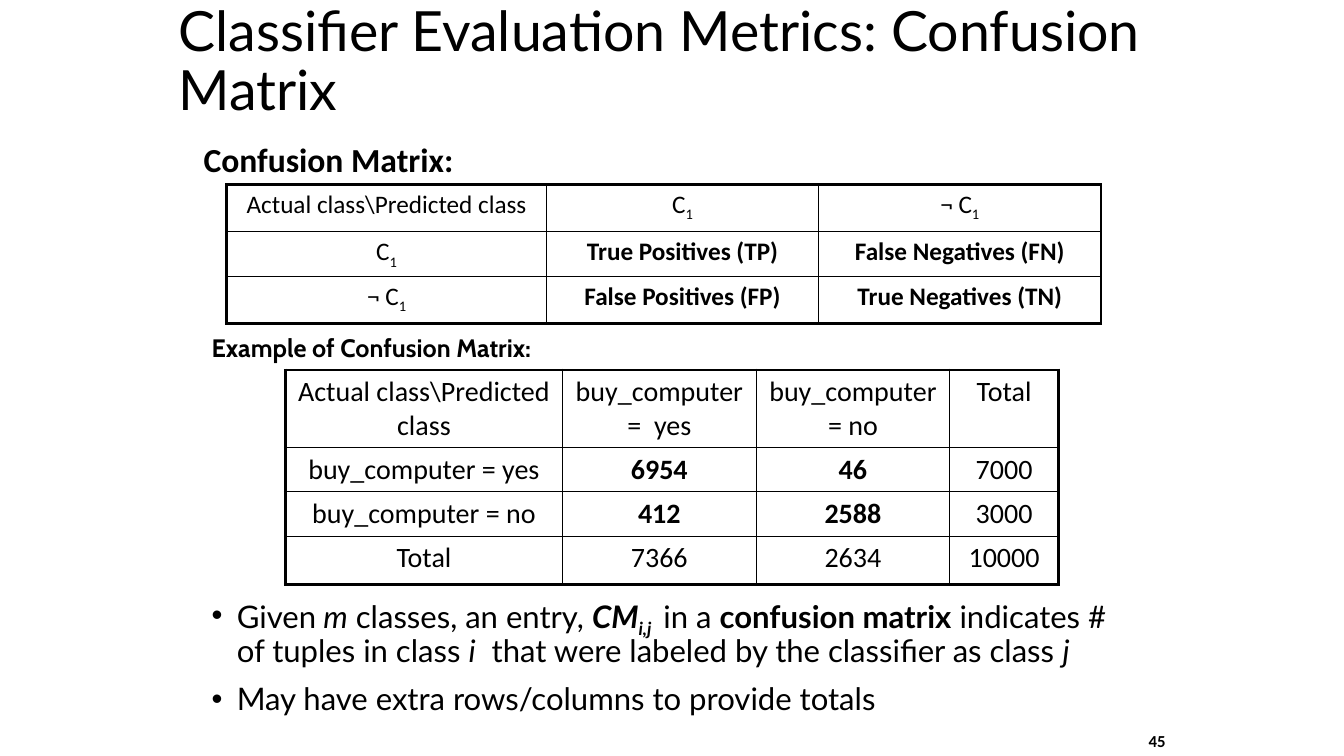
"""Build the slide on confusion matrices as a classifier evaluation metric."""
from lxml import etree
from pptx import Presentation
from pptx.dml.color import RGBColor
from pptx.enum.text import MSO_ANCHOR, MSO_AUTO_SIZE, PP_ALIGN
from pptx.oxml.ns import qn
from pptx.util import Inches, Pt

LEFT, CENTER, RIGHT = PP_ALIGN.LEFT, PP_ALIGN.CENTER, PP_ALIGN.RIGHT
MIDDLE, TOP, BOTTOM = MSO_ANCHOR.MIDDLE, MSO_ANCHOR.TOP, MSO_ANCHOR.BOTTOM
NO_AUTOFIT = MSO_AUTO_SIZE.NONE
BLACK = "000000"
OUTER_WIDTH, INNER_WIDTH = 2.25, 1


def write_runs(paragraph, runs, size, font_name):
    """Add (text, style) runs; style letters are b bold, i italic, s subscript."""
    for text, style in runs:
        run = paragraph.add_run()
        run.text = text
        run.font.size = Pt(size)
        run.font.name = font_name
        run.font.bold = "b" in style
        run.font.italic = "i" in style
        run.font.color.rgb = RGBColor.from_string(BLACK)
        if "s" in style:
            run.font._element.set("baseline", "-25000")


def set_borders(cell, widths):
    """Draw the left, right, top and bottom borders of a cell."""
    properties = cell._tc.get_or_add_tcPr()
    for position, (side, width) in enumerate(zip("LRTB", widths)):
        line = etree.Element(qn(f"a:ln{side}"), w=str(Pt(width)))
        fill = etree.SubElement(line, qn("a:solidFill"))
        etree.SubElement(fill, qn("a:srgbClr"), val=BLACK)
        properties.insert(position, line)


presentation = Presentation()
presentation.slide_width = Inches(13.33)
presentation.slide_height = Inches(7.5)
slide = presentation.slides.add_slide(presentation.slide_layouts[5])

title = slide.shapes.title
title.left, title.top = Inches(1.67), Inches(0)
title.width, title.height = Inches(10), Inches(1.25)
title.text_frame.auto_size = NO_AUTOFIT
title.text_frame.vertical_anchor = MIDDLE
title_paragraph = title.text_frame.paragraphs[0]
title_paragraph.alignment = LEFT
title_paragraph.line_spacing = 0.9
write_runs(title_paragraph, [("Classifier Evaluation Metrics: Confusion Matrix", "")], 39.6, "Lato")

labels = [
    ("Confusion Matrix:", (1.92, 1.33, 2.85, 0.5), 24, "Calibri", LEFT, TOP, True),
    ("Example of Confusion Matrix:", (2, 3.25, 3.9, 0.4), 18, "Cabin", LEFT, TOP, False),
    ("45", (9.58, 7.08, 2.08, 0.42), 12, "Calibri", RIGHT, BOTTOM, True),
]
for text, box, size, font_name, alignment, anchor, wrap in labels:
    label = slide.shapes.add_textbox(*map(Inches, box))
    label.text_frame.word_wrap = wrap
    label.text_frame.vertical_anchor = anchor
    label_paragraph = label.text_frame.paragraphs[0]
    label_paragraph.alignment = alignment
    write_runs(label_paragraph, [(text, "b")], size, font_name)

class_one = [("C", ""), ("1", "s")]
not_class_one = [("¬ C", ""), ("1", "s")]
definition_rows = [
    [[("Actual class\\Predicted class", "")], class_one, not_class_one],
    [class_one, [("True Positives (TP)", "b")], [("False Negatives (FN)", "b")]],
    [not_class_one, [("False Positives (FP)", "b")], [("True Negatives (TN)", "b")]],
]
example_texts = [
    ["Actual class\\Predicted class", "buy_computer =  yes", "buy_computer = no", "Total"],
    ["buy_computer = yes", "6954", "46", "7000"],
    ["buy_computer = no", "412", "2588", "3000"],
    ["Total", "7366", "2634", "10000"],
]
bold_counts = {"6954", "46", "412", "2588"}
example_rows = [
    [[(text, "b" if text in bold_counts else "")] for text in texts] for texts in example_texts
]
tables = [
    (definition_rows, 2.25, 1.83, [3.17, 2.7, 2.8], [0.47, 0.44, 0.47], 18),
    (example_rows, 2.83, 3.67, [2.75, 1.92, 1.92, 1.08], [0.77, 0.44, 0.44, 0.48], 20),
]
for rows, left, top, column_widths, row_heights, size in tables:
    frame = slide.shapes.add_table(
        len(rows), len(column_widths), Inches(left), Inches(top),
        Inches(sum(column_widths)), Inches(sum(row_heights)))
    table = frame.table
    table.first_row = False
    table.horz_banding = False
    for column, width in zip(table.columns, column_widths):
        column.width = Inches(width)
    last_row, last_column = len(rows) - 1, len(column_widths) - 1
    for row_index, (row, height) in enumerate(zip(rows, row_heights)):
        table.rows[row_index].height = Inches(height)
        for column_index, runs in enumerate(row):
            cell = table.cell(row_index, column_index)
            cell.fill.background()
            edges = (column_index == 0, column_index == last_column,
                     row_index == 0, row_index == last_row)
            set_borders(cell, [OUTER_WIDTH if edge else INNER_WIDTH for edge in edges])
            cell_paragraph = cell.text_frame.paragraphs[0]
            cell_paragraph.alignment = CENTER
            write_runs(cell_paragraph, runs, size, "Calibri")

bullets = [
    [("Given", ""), (" m", "i"), (" classes, an entry, ", ""), ("CM", "bi"), ("i,j ", "bis"),
     (" in a ", ""), ("confusion matrix", "b"), (" indicates # of tuples in class ", ""),
     ("i", "i"), ("  that were labeled by the classifier as class ", ""), ("j", "i")],
    [("May have extra rows/columns to provide totals", "")],
]
body = slide.shapes.add_textbox(Inches(2), Inches(5.88), Inches(9.25), Inches(1.38))
body.text_frame.word_wrap = True
for index, runs in enumerate(bullets):
    paragraph = body.text_frame.add_paragraph() if index else body.text_frame.paragraphs[0]
    properties = paragraph._p.get_or_add_pPr()
    properties.set("marL", str(Inches(0.25)))
    properties.set("indent", str(Inches(-0.25)))
    etree.SubElement(properties, qn("a:buFont"), typeface="Arial")
    etree.SubElement(properties, qn("a:buChar"), char="•")
    paragraph.line_spacing = 0.9
    paragraph.space_before = Pt(10 if index else 0)
    write_runs(paragraph, runs, 22.2, "Lato")

presentation.save("out.pptx")
